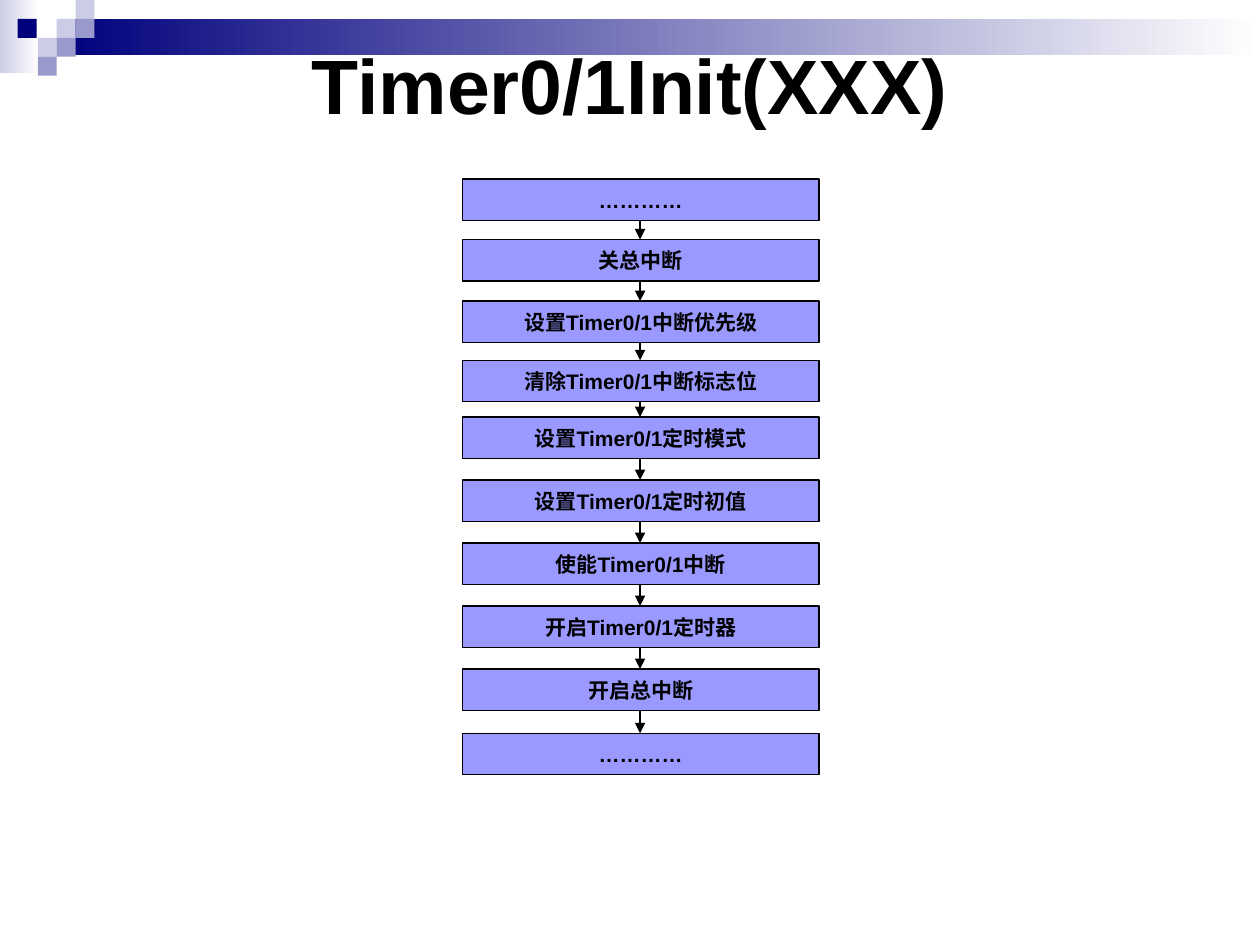
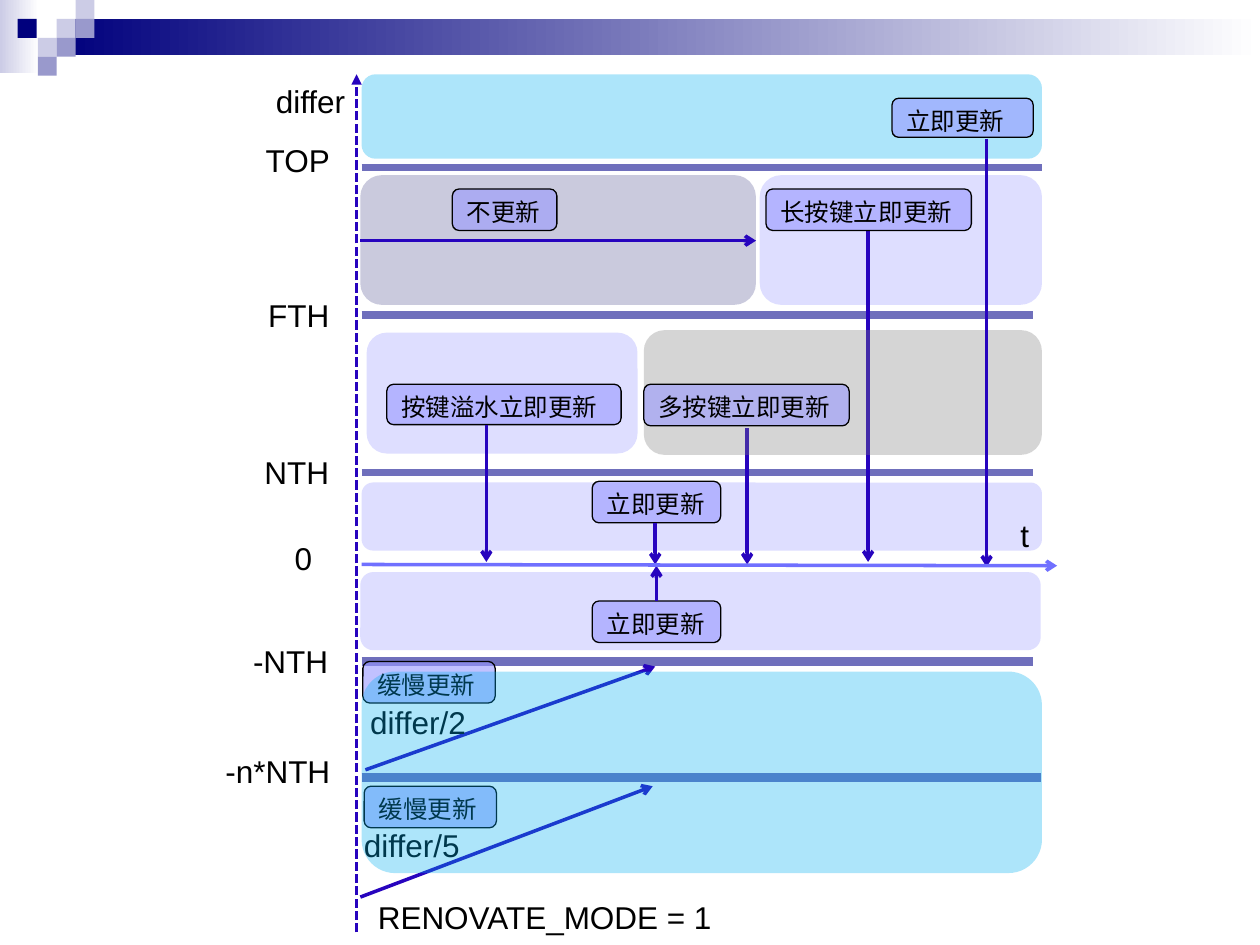
from dataclasses import dataclass

from lxml import etree
from pptx import Presentation
from pptx.dml.color import RGBColor
from pptx.enum import dml, shapes, text
from pptx.oxml import ns
from pptx.util import Emu, Pt

EMU_PER_PX = 9144
FONT = "Arial"
COLORS = {
    "black": "000000",
    "white": "FFFFFF",
    "navy": "00007D",
    "slate": "9999CC",
    "mist": "CCCCE6",
    "lilac": "9999FF",
    "sky": "00B0F0",
    "dusk": "5B5B98",
    "grey": "7F7F7F",
    "threshold": "6F6FBC",
    "arrow": "2704BE",
    "time": "7070FF",
}


@dataclass(frozen=True)
class Box:
    left: int
    top: int
    width: int
    height: int


@dataclass(frozen=True)
class Zone:
    box: Box
    color: str = "lilac"


@dataclass(frozen=True)
class Caption:
    words: str
    box: Box


@dataclass(frozen=True)
class Line:
    start: tuple[int, int]
    end: tuple[int, int]
    color: str = "arrow"
    width: float = 2
    tip: str = "arrow"
    dashed: bool = False


SQUARE = 15
BAND_SQUARES = [
    (45, 15, "mist"), (60, 0, "mist"), (60, 15, "slate"), (30, 30, "mist"),
    (14, 15, "navy"), (45, 30, "slate"), (30, 45, "slate"),
]

STEP_LEFT, STEP_WIDTH, STEP_HEIGHT = 367, 283, 33
STEP_CENTER = 508
STEPS = [
    ("…………", 142),
    ("关总中断", 190),
    ("设置Timer0/1中断优先级", 239),
    ("清除Timer0/1中断标志位", 286),
    ("设置Timer0/1定时模式", 331),
    ("设置Timer0/1定时初值", 381),
    ("使能Timer0/1中断", 431),
    ("开启Timer0/1定时器", 481),
    ("开启总中断", 531),
    ("…………", 582),
]

ZONES = [
    Zone(Box(603, 139, 224, 103)),
    Zone(Box(287, 59, 540, 67), "sky"),
    Zone(Box(286, 139, 314, 103), "dusk"),
    Zone(Box(287, 383, 540, 54)),
    Zone(Box(291, 264, 215, 96)),
    Zone(Box(286, 454, 540, 62)),
]
MULTI_KEY_ZONE = Zone(Box(511, 262, 316, 99), "grey")
SLOW_ZONE = Zone(Box(287, 533, 540, 160), "sky")

THRESHOLDS = [
    Line((287, y), (right, y), "threshold", width, "none")
    for y, right, width in [
        (133, 827, 4), (250, 820, 4.59), (375, 820, 4), (525, 820, 5), (617, 826, 5),
    ]
]
AXES = [
    Line((283, 740), (283, 59), width=1.75, tip="triangle", dashed=True),
    Line((287, 448), (839, 449), "time"),
]
COVERED_ARROWS = [Line((593, 340), (593, 448)), Line((689, 183), (689, 446))]
ARROWS = [
    Line((286, 191), (600, 191)),
    Line((520, 415), (520, 448)),
    Line((521, 477), (521, 449)),
    Line((386, 337), (386, 446)),
    Line((783, 110), (783, 450)),
    Line((286, 712), (518, 624)),
    Line((290, 611), (520, 529)),
]

LABEL_HEIGHT = 40
LABEL_SLACK = 10
LABELS = [
    Caption(words, Box(left, top, width + LABEL_SLACK, LABEL_HEIGHT))
    for words, left, top, width in [
        ("differ", 209, 60, 75),
        ("TOP", 201, 107, 71),
        ("FTH", 203, 230, 68),
        ("NTH", 200, 355, 71),
        ("0", 224, 423, 34),
        ("-NTH", 191, 505, 79),
        ("-n*NTH", 169, 592, 103),
        ("t", 800, 405, 27),
        ("differ/2", 284, 553, 96),
        ("differ/5", 279, 651, 96),
        ("RENOVATE_MODE = 1", 290, 708, 289),
    ]
]
TAGS = [
    Caption("立即更新", Box(708, 78, 112, 31)),
    Caption("不更新", Box(359, 150, 83, 33)),
    Caption("长按键立即更新", Box(608, 150, 163, 33)),
    Caption("按键溢水立即更新", Box(307, 305, 186, 32)),
    Caption("多按键立即更新", Box(511, 305, 163, 33)),
    Caption("立即更新", Box(470, 382, 102, 33)),
    Caption("立即更新", Box(470, 477, 102, 33)),
    Caption("缓慢更新", Box(288, 525, 105, 33)),
    Caption("缓慢更新", Box(289, 624, 105, 33)),
]


def px(value: int) -> Emu:
    """Turn pixels into EMU."""
    return Emu(value * EMU_PER_PX)


def rgb(name: str) -> RGBColor:
    """Look up a named colour."""
    return RGBColor.from_string(COLORS[name])


def place(box: Box) -> list[Emu]:
    """Give the left, top, width and height of a box in EMU."""
    return [px(value) for value in (box.left, box.top, box.width, box.height)]


def write(shape, words: str, size: int, bold: bool = False,
          align=text.PP_ALIGN.LEFT, anchor=text.MSO_ANCHOR.TOP) -> None:
    """Put one styled run in a shape."""
    frame = shape.text_frame
    frame.word_wrap = True
    frame.vertical_anchor = anchor
    paragraph = frame.paragraphs[0]
    paragraph.alignment = align
    run = paragraph.add_run()
    run.text = words
    run.font.name = FONT
    run.font.size = Pt(size)
    run.font.bold = bold
    run.font.color.rgb = rgb("black")


def add_block(slide, box: Box, color: str, rounded: bool = False,
              opacity: int = 100, outlined: bool = False):
    """Draw a plain or rounded rectangle with a solid fill."""
    kind = shapes.MSO_SHAPE.ROUNDED_RECTANGLE if rounded else shapes.MSO_SHAPE.RECTANGLE
    shape = slide.shapes.add_shape(kind, *place(box))
    shape.shadow.inherit = False
    shape.fill.solid()
    shape.fill.fore_color.rgb = rgb(color)
    if opacity < 100:
        tint = shape._element.spPr.find(ns.qn("a:solidFill"))[0]
        etree.SubElement(tint, ns.qn("a:alpha"), val=str(opacity * 1000))
    if outlined:
        shape.line.color.rgb = rgb("black")
        shape.line.width = Pt(0.75)
    else:
        shape.line.fill.background()
    return shape


def add_fade(slide, box: Box, color: str) -> None:
    """Draw a rectangle that fades to white on the right."""
    shape = add_block(slide, box, color)
    shape.fill.gradient()
    shape.fill.gradient_angle = 0
    for stop, name in zip(shape.fill.gradient_stops, (color, "white")):
        stop.color.rgb = rgb(name)


def add_line(slide, line: Line) -> None:
    """Draw a straight line with its tip."""
    ends = [px(value) for value in (*line.start, *line.end)]
    connector = slide.shapes.add_connector(shapes.MSO_CONNECTOR.STRAIGHT, *ends)
    connector.line.color.rgb = rgb(line.color)
    connector.line.width = Pt(line.width)
    if line.dashed:
        connector.line.dash_style = dml.MSO_LINE.SQUARE_DOT
    properties = connector._element.spPr
    outline = properties.find(ns.qn("a:ln"))
    etree.SubElement(outline, ns.qn("a:tailEnd"), type=line.tip)
    etree.SubElement(properties, ns.qn("a:effectLst"))


def add_zone(slide, zone: Zone) -> None:
    """Draw a translucent zone."""
    add_block(slide, zone.box, zone.color, rounded=True, opacity=32)


def add_tag(slide, tag: Caption) -> None:
    """Draw an outlined tag naming an update."""
    shape = add_block(slide, tag.box, "lilac", rounded=True, opacity=60, outlined=True)
    write(shape, tag.words, 14)


def add_label(slide, label: Caption) -> None:
    """Draw a free label."""
    write(slide.shapes.add_textbox(*place(label.box)), label.words, 18)


def add_banded_slide(presentation):
    """Add a blank slide with the top band and its squares."""
    slide = presentation.slides.add_slide(presentation.slide_layouts[6])
    add_fade(slide, Box(0, 0, 31, 58), "mist")
    add_fade(slide, Box(45, 15, 955, 29), "navy")
    for left, top, color in BAND_SQUARES:
        add_block(slide, Box(left, top, SQUARE, SQUARE), color)
    return slide


def build_init_flow(presentation) -> None:
    """Build the flow chart of the timer set-up."""
    slide = add_banded_slide(presentation)
    title = slide.shapes.add_textbox(*place(Box(50, 50, 900, 33)))
    centered = {"align": text.PP_ALIGN.CENTER, "anchor": text.MSO_ANCHOR.MIDDLE}
    write(title, "Timer0/1Init(XXX)", 44, bold=True, **centered)
    for words, top in STEPS:
        box = Box(STEP_LEFT, top, STEP_WIDTH, STEP_HEIGHT)
        step = add_block(slide, box, "lilac", outlined=True)
        write(step, words, 12, bold=True, **centered)
    for (_, top), (_, next_top) in zip(STEPS, STEPS[1:]):
        start, end = (STEP_CENTER, top + STEP_HEIGHT), (STEP_CENTER, next_top)
        add_line(slide, Line(start, end, "black", 0.75, "triangle"))


def build_update_zones(presentation) -> None:
    """Build the diagram of update zones over time."""
    slide = add_banded_slide(presentation)
    for zone in ZONES:
        add_zone(slide, zone)
    for line in THRESHOLDS + COVERED_ARROWS:
        add_line(slide, line)
    add_zone(slide, MULTI_KEY_ZONE)
    for tag in TAGS:
        add_tag(slide, tag)
    for line in ARROWS + AXES:
        add_line(slide, line)
    for label in LABELS:
        add_label(slide, label)
    add_zone(slide, SLOW_ZONE)


def main() -> None:
    """Build and save the presentation."""
    presentation = Presentation()
    presentation.slide_width, presentation.slide_height = px(1000), px(750)
    build_init_flow(presentation)
    build_update_zones(presentation)
    presentation.save("out.pptx")


if __name__ == "__main__":
    main()
